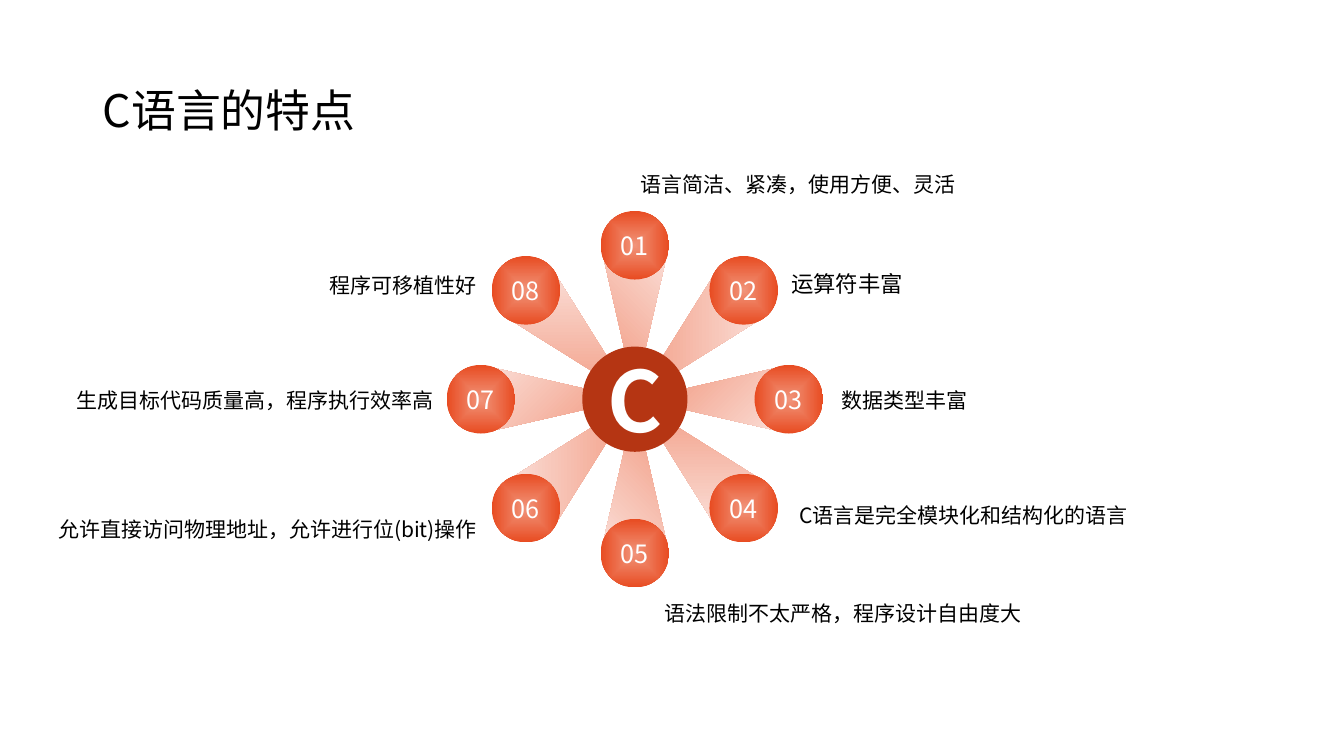
from math import cos, radians, sin

from lxml.etree import SubElement
from pptx import Presentation
from pptx.dml.color import RGBColor
from pptx.enum.shapes import MSO_SHAPE as Kind
from pptx.enum.text import MSO_ANCHOR as Anchor, PP_ALIGN as Align
from pptx.oxml.ns import qn
from pptx.util import Cm, Pt

# Content: text, box (left, top, width, height in cm), align, anchor, size, spacing
TITLE = ("C语言的特点", (2.34, 1.02, 29.21, 3.68), Align.LEFT, Anchor.MIDDLE, 32, 0.9)
TRAITS = [
    (" 语言简洁、紧凑，使用方便、灵活", (15.52, 4.06, 9.07, 1.02),
     Align.CENTER, Anchor.BOTTOM, 15, 1.2),
    ("运算符丰富", (19.69, 6.6, 3.56, 1.02), Align.LEFT, Anchor.MIDDLE, 16, 1.1),
    (" 数据类型丰富", (20.85, 9.5, 4.6, 1.02), Align.LEFT, Anchor.MIDDLE, 15, 1.2),
    ("C语言是完全模块化和结构化的语言", (19.89, 12.4, 13, 1.02),
     Align.LEFT, Anchor.MIDDLE, 15, 1.2),
    ("语法限制不太严格，程序设计自由度大", (16.48, 14.88, 9.53, 1.02),
     Align.CENTER, Anchor.TOP, 15, 1.2),
    ("允许直接访问物理地址，允许进行位(bit)操作", (1.04, 11.94, 11.23, 2.67),
     Align.RIGHT, Anchor.MIDDLE, 15, 1.2),
    ("生成目标代码质量高，程序执行效率高", (1.42, 9.5, 9.75, 1.02),
     Align.RIGHT, Anchor.MIDDLE, 15, 1.2),
    ("程序可移植性好", (2.62, 6.6, 9.65, 1.02), Align.RIGHT, Anchor.MIDDLE, 15, 1.2),
]
HUB = "C"

# Style and wheel measures in cm
FONT = "Noto Sans CJK SC"
BLACK = RGBColor(0x00, 0x00, 0x00)
WHITE = RGBColor(0xFF, 0xFF, 0xFF)
BRICK = RGBColor(0xB5, 0x35, 0x13)
ORANGE = RGBColor(0xE8, 0x4C, 0x22)
CORAL = RGBColor(0xF1, 0x94, 0x7A)
BLUSH = RGBColor(0xFA, 0xDB, 0xD3)
MID_X, MID_Y = 16, 10.06
RING, BALL, CORE = 3.88, 1.73, 2.65
REACH, RAY_W, RAY_H = 1.86, 1.6, 3.5


def write(frame, text, size, color, align, anchor, space=None, bold=False):
    frame.word_wrap = True
    frame.vertical_anchor = anchor
    para = frame.paragraphs[0]
    para.alignment = align
    para.line_spacing = space
    run = para.add_run()
    run.text = text
    font = run.font
    font.name, font.size, font.bold = FONT, Pt(size), bold
    font.color.rgb = color
    east = SubElement(run._r.get_or_add_rPr(), qn("a:ea"))
    east.set("typeface", FONT)


def label(slide, text, box, align, anchor, size, space):
    area = slide.shapes.add_textbox(*map(Cm, box))
    write(area.text_frame, text, size, BLACK, align, anchor, space)


def place(slide, kind, x, y, wide, high):
    shape = slide.shapes.add_shape(
        kind, Cm(x - wide / 2), Cm(y - high / 2), Cm(wide), Cm(high))
    shape.shadow.inherit = False
    shape.line.fill.background()
    return shape


def blend(shape, start, end):
    shape.fill.gradient()
    shape.fill.gradient_angle = 315
    for stop, color, spot in zip(shape.fill.gradient_stops, (start, end), (0, 0.99)):
        stop.color.rgb = color
        stop.position = spot


def glow(shape):
    """Turn the linear blend into one that spreads from the centre."""
    grad = shape._element.spPr.find(qn("a:gradFill"))
    grad.remove(grad.find(qn("a:lin")))
    way = SubElement(grad, qn("a:path"), {"path": "shape"})
    SubElement(way, qn("a:fillToRect"), dict.fromkeys("ltrb", "50000"))


def disc(slide, x, y, width, text, size, bold=False):
    shape = place(slide, Kind.OVAL, x, y, width, width)
    frame = shape.text_frame
    frame.margin_left = frame.margin_right = 0
    frame.margin_top = frame.margin_bottom = 0
    write(frame, text, size, WHITE, Align.CENTER, Anchor.MIDDLE, bold=bold)
    return shape


def polar(turn, dist):
    """Point at a clockwise angle from the top of the wheel."""
    angle = radians(turn)
    return MID_X + dist * sin(angle), MID_Y - dist * cos(angle)


def main():
    deck = Presentation()
    deck.slide_width, deck.slide_height = Cm(33.87), Cm(19.05)
    slide = deck.slides.add_slide(deck.slide_layouts[6])
    label(slide, *TITLE)

    # Rays, narrow end at the hub
    turns = [360 / len(TRAITS) * i for i in range(len(TRAITS))]
    for turn in reversed(turns):
        ray = place(slide, Kind.ISOSCELES_TRIANGLE, *polar(turn, REACH), RAY_W, RAY_H)
        ray.rotation = turn
        ray._element.spPr.xfrm.set("flipV", "1")
        blend(ray, CORAL, BLUSH)

    # Numbered balls
    for num, turn in enumerate(turns, 1):
        ball = disc(slide, *polar(turn, RING), BALL, f"{num:02}", 18)
        blend(ball, CORAL, ORANGE)
        glow(ball)

    # Hub
    hub = disc(slide, MID_X, MID_Y, CORE, HUB, 60, True)
    hub.fill.solid()
    hub.fill.fore_color.rgb = BRICK

    # Traits around the wheel
    for trait in TRAITS:
        label(slide, *trait)
    deck.save("out.pptx")


if __name__ == "__main__":
    main()
